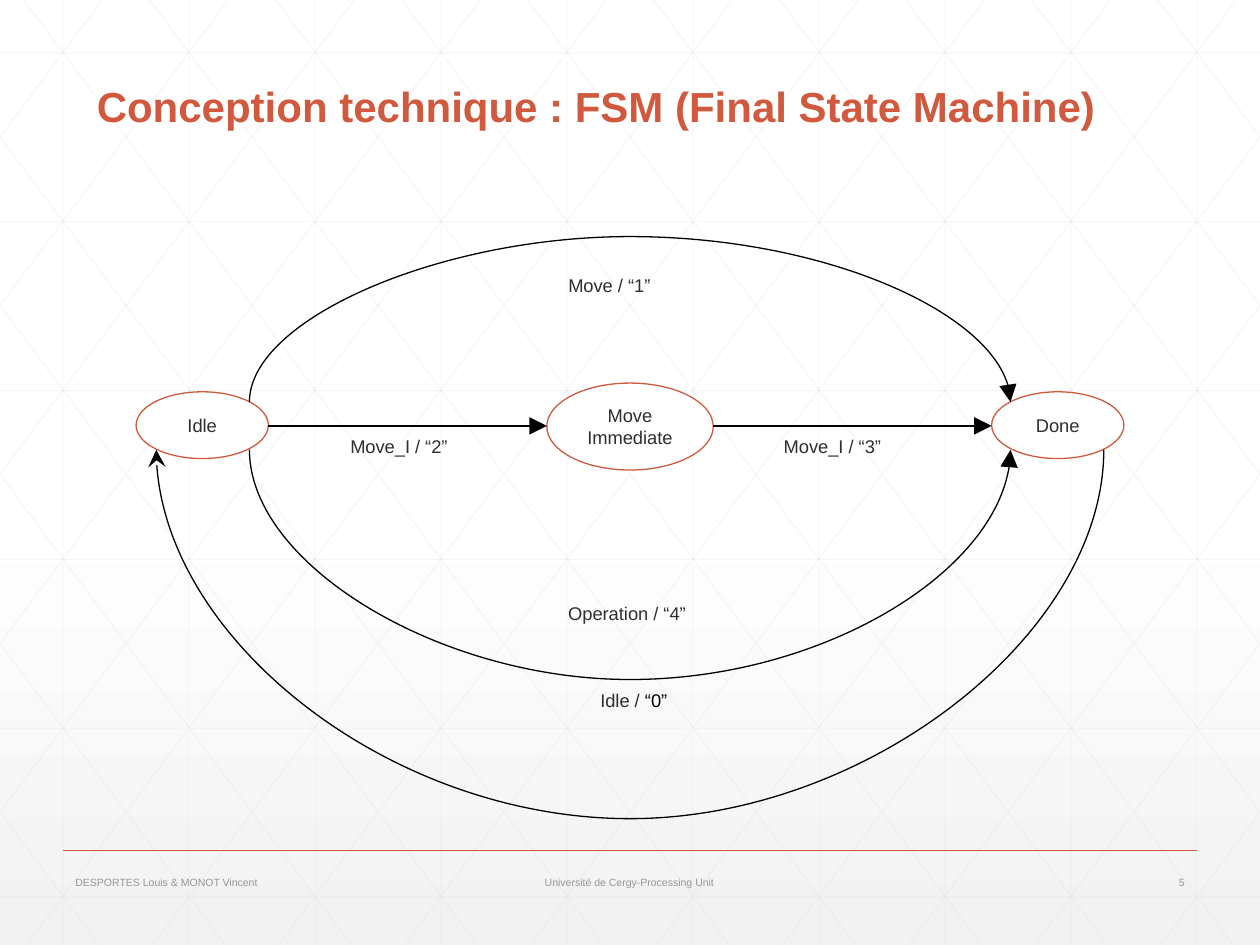
"""Build the state machine slide."""
from copy import deepcopy
from dataclasses import dataclass

from pptx import Presentation
from pptx.dml.color import RGBColor
from pptx.enum.shapes import MSO_CONNECTOR, MSO_SHAPE
from pptx.enum.text import MSO_ANCHOR, PP_ALIGN
from pptx.oxml.ns import qn
from pptx.oxml.xmlchemy import OxmlElement
from pptx.util import Emu, Inches, Pt


@dataclass(frozen=True)
class Theme:
    """Hold the colours, type sizes and font."""
    font: str = "Arial"
    brand: str = "D15A3E"
    ring: str = "D05A3E"
    ink: str = "2D2E2D"
    black: str = "000000"
    white: str = "FFFFFF"
    mist: str = "F2F2F2"
    grid: str = "D9D9D9"
    grey: str = "959795"
    title: float = 24
    body: float = 10.5
    foot: float = 6


LOOK = Theme()
WIDE, HIGH = 10, 7.5


def rgb(code):
    """Turn a hex code into a colour."""
    return RGBColor.from_string(code)


def child(parent, tag, **attrs):
    """Append an XML child with the given attributes."""
    node = OxmlElement(tag)
    for key, val in attrs.items():
        node.set(key, str(val))
    parent.append(node)
    return node


def write(shape, text, *, size=LOOK.body, color=LOOK.ink, bold=False, align=PP_ALIGN.LEFT,
          anchor=MSO_ANCHOR.TOP, inset=(0.07, 0.07), space=None, extra=None):
    """Put formatted text in a shape, with an optional black ending."""
    frame = shape.text_frame
    frame.word_wrap = True
    frame.vertical_anchor = anchor
    frame.margin_left = frame.margin_right = Inches(inset[0])
    frame.margin_top = frame.margin_bottom = Inches(inset[1])
    para = frame.paragraphs[0]
    para.text, para.alignment = text, align
    if space:
        para.line_spacing = space
    if extra:
        para.add_run().text = extra
    for run in para.runs:
        font = run.font
        font.name, font.size, font.bold = LOOK.font, Pt(size), bold
        font.color.rgb = rgb(color)
    if extra:
        para.runs[-1].font.color.rgb = rgb(LOOK.black)


def label(slide, box, text, **style):
    """Add a text box."""
    write(slide.shapes.add_textbox(*map(Inches, box)), text, **style)


def state(slide, box, text):
    """Add an oval state."""
    oval = slide.shapes.add_shape(MSO_SHAPE.OVAL, *map(Inches, box))
    oval.shadow.inherit = False
    oval.fill.solid()
    oval.fill.fore_color.rgb = rgb(LOOK.white)
    oval.line.color.rgb = rgb(LOOK.ring)
    oval.line.width = Pt(0.75)
    write(oval, text, align=PP_ALIGN.CENTER, anchor=MSO_ANCHOR.MIDDLE)


def line(shapes, start, end, color=LOOK.black, width=0.75, kind=MSO_CONNECTOR.STRAIGHT,
         head=None, alpha=None):
    """Add a line, with an optional arrowhead or opacity."""
    link = shapes.add_connector(kind, *map(Inches, (*start, *end)))
    link.line.color.rgb = rgb(color)
    link.line.width = Pt(width)
    props = link._element.spPr
    stroke = props.find(qn("a:ln"))
    if alpha:
        child(stroke.find(".//" + qn("a:srgbClr")), "a:alpha", val=alpha * 1000)
    if head:
        child(stroke, "a:tailEnd", type=head, w="lg", len="lg")
    child(props, "a:effectLst")
    return link


def arc(slide, left, right, level, bend, head="triangle", back=False):
    """Add a curved arrow that bends down from a level, or up if negative."""
    thin, span = Emu(450), right - left
    link = line(slide.shapes, (5, level - span / 2), (5, level + span / 2),
                kind=MSO_CONNECTOR.CURVE, head=head)
    link.width = thin
    frame = link._element.spPr.find(qn("a:xfrm"))
    frame.set("rot", str((90 if back else 270) * 60000))
    if not back:
        frame.set("flipH", "1")
    guides = link._element.spPr.find(qn("a:prstGeom")).get_or_add_avLst()
    ratio = round(Inches(bend) / thin * 100000)
    child(guides, "a:gd", name="adj1", fmla=f"val {ratio}")


def shade(slide):
    """Fill the background from white to pale grey."""
    fill = slide.background.fill
    fill.gradient()
    fill.gradient_angle = 270
    stops = slide._element.find(".//" + qn("a:gsLst"))
    stops.append(deepcopy(stops[-1]))
    colors = (LOOK.white, LOOK.white, LOOK.mist)
    for stop, place, color in zip(fill.gradient_stops, (0, 0.53, 1), colors):
        stop.position = place
        stop.color.rgb = rgb(color)


def mesh(slide):
    """Draw the faint grid of upright, level and slanted lines."""
    slope = 1.34
    lines = [((col + 0.5, 0), (col + 0.5, HIGH)) for col in range(WIDE)]
    lines += [((0, 0.42 + row * slope), (WIDE, 0.42 + row * slope)) for row in range(6)]
    for step in range(-5, WIDE):
        base = step + 0.19
        near, far = max(base, 0), min(base + HIGH / slope, WIDE)
        top, end = (near - base) * slope, (far - base) * slope
        lines += [((near, top), (far, end)), ((WIDE - near, top), (WIDE - far, end))]
    group = slide.shapes.add_group_shape()
    for start, end in lines:
        line(group.shapes, start, end, LOOK.grid, 0.5, alpha=25)


def footer(slide):
    """Add the rule and the three footer texts."""
    line(slide.shapes, (0.5, 6.75), (9.5, 6.75), LOOK.brand, 1)
    for left, width, text, align in (
            (0.5, 1.73, "DESPORTES Louis & MONOT Vincent", PP_ALIGN.LEFT),
            (4.13, 1.73, "Université de Cergy-Processing Unit", PP_ALIGN.CENTER),
            (8.75, 0.75, "5", PP_ALIGN.RIGHT)):
        label(slide, (left, 6.88, width, 0.24), text, size=LOOK.foot, color=LOOK.grey,
              align=align, anchor=MSO_ANCHOR.MIDDLE, inset=(0.1, 0.04))


def main():
    """Build and save the slide."""
    deck = Presentation()
    deck.slide_width, deck.slide_height = Inches(WIDE), Inches(HIGH)
    slide = deck.slides.add_slide(deck.slide_layouts[6])
    shade(slide)
    mesh(slide)
    footer(slide)
    label(slide, (0.67, 0.38, 8.66, 0.71), "Conception technique : FSM (Final State Machine)",
          size=LOOK.title, color=LOOK.brand, bold=True, anchor=MSO_ANCHOR.BOTTOM,
          inset=(0.1, 0.05), space=0.9)

    state(slide, (1.08, 3.11, 1.05, 0.53), "Idle")
    state(slide, (7.87, 3.11, 1.05, 0.53), "Done")
    state(slide, (4.34, 3.04, 1.32, 0.69), "Move\vImmediate")

    for left, right in ((2.13, 4.34), (5.66, 7.87)):
        line(slide.shapes, (left, 3.38), (right, 3.38), head="triangle")
    arc(slide, 1.24, 8.76, 3.57, 1.83, head="stealth", back=True)
    arc(slide, 1.98, 8.02, 3.19, -0.82)
    arc(slide, 1.98, 8.02, 3.57, 1.14)

    for box, text in (((4.44, 2.11, 0.92, 0.27), "Move / “1”"),
                      ((4.44, 4.71, 1.16, 0.27), "Operation / “4”"),
                      ((2.71, 3.38, 1.05, 0.27), "Move_I / “2”"),
                      ((6.15, 3.38, 1.05, 0.27), "Move_I / “3”")):
        label(slide, box, text)
    label(slide, (4.57, 5.4, 0.92, 0.18), "Idle / ", align=PP_ALIGN.CENTER, extra="“0”")
    deck.save("out.pptx")


if __name__ == "__main__":
    main()
